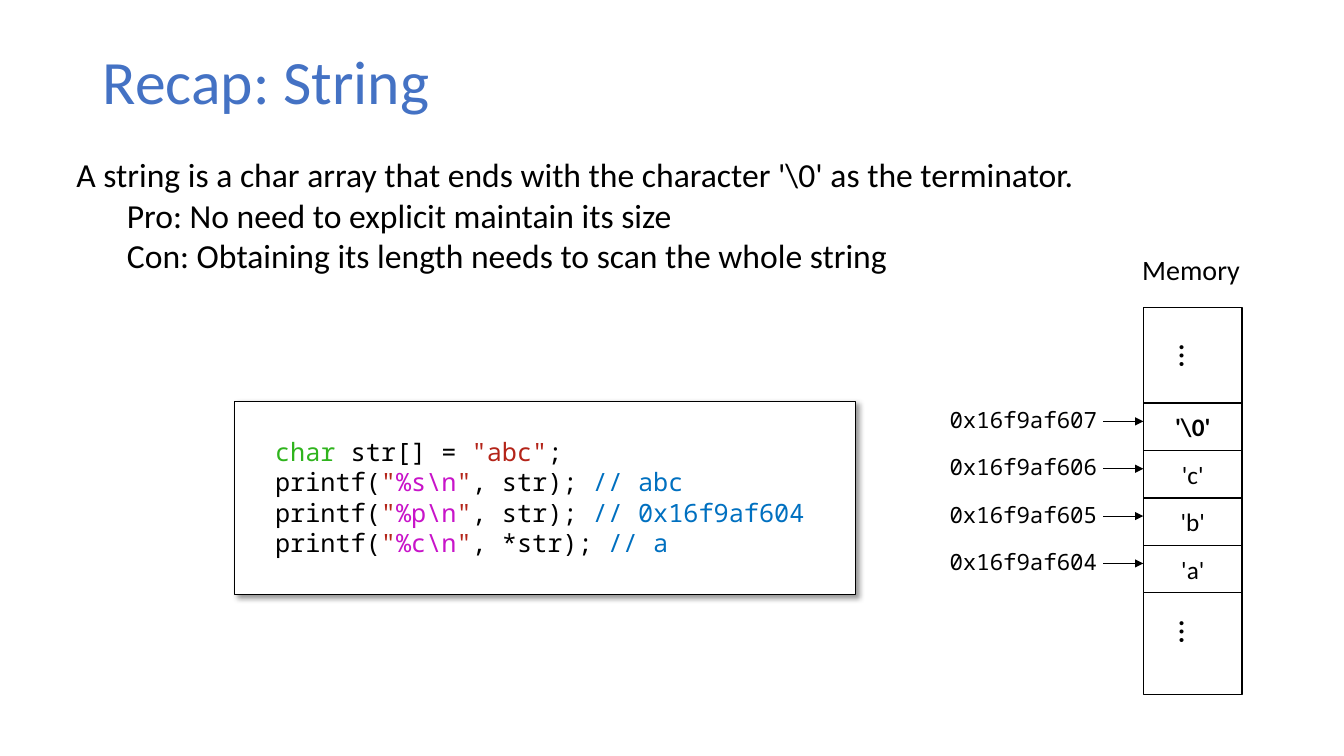
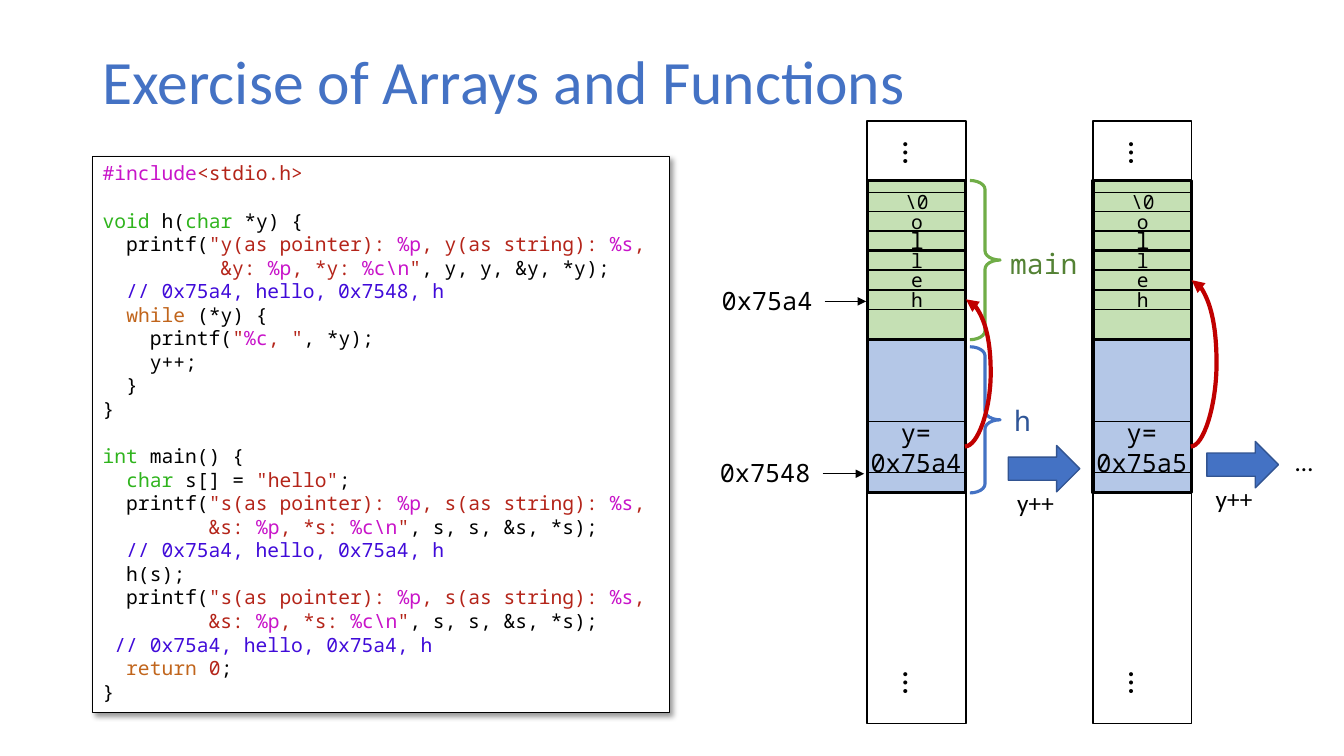
from lxml import etree
from pptx import Presentation
from pptx.dml.color import RGBColor
from pptx.enum.shapes import MSO_CONNECTOR, MSO_SHAPE
from pptx.enum.text import MSO_ANCHOR, PP_ALIGN
from pptx.oxml.ns import qn
from pptx.util import Pt

PX = 9144  # 100 px to the inch
RECT, BRACE, BLOCK_ARROW = MSO_SHAPE.RECTANGLE, MSO_SHAPE.RIGHT_BRACE, MSO_SHAPE.RIGHT_ARROW
STRAIGHT, CURVE = MSO_CONNECTOR.STRAIGHT, MSO_CONNECTOR.CURVE
TOP, MIDDLE = MSO_ANCHOR.TOP, MSO_ANCHOR.MIDDLE
LEFT, CENTER = PP_ALIGN.LEFT, PP_ALIGN.CENTER
rgb = RGBColor.from_string

# Shared colours and text formats
BLACK, WHITE, BLUE, RED = "000000", "FFFFFF", "4472C4", "C00000"
SANS, MONO = "Calibri", "Noto Sans Mono"
TITLE = dict(name=SANS, size=Pt(44))
BODY = dict(name=SANS, size=Pt(24))
HEADING = dict(name=SANS, size=Pt(20))
LABEL = dict(name=SANS, size=Pt(18))
NAME = dict(name=MONO, size=Pt(20))
VALUE = dict(name=MONO, size=Pt(18))
ADDRESS = dict(name=MONO, size=Pt(16))
CODE = dict(name=MONO, size=Pt(14))

# Code colours: "§" and a key start a run of that colour
SYNTAX = dict(n=BLACK, t="2FB41D", s="B42419", f="C814C9", c="0070C0", d="400BD9", k="C1651C")


def box(s, x, y, w, h, lines=(), font=LABEL, color=BLACK, shape=None, fill=None, line=None,
        weight=1, anchor=TOP, align=LEFT, inset=(10, 5), wrap=False, shadow=False):
    """Add a text box, or a preset shape with text."""
    at = [v * PX for v in (x, y, w, h)]
    if shape is None:
        sp = s.shapes.add_textbox(*at)
    else:
        sp = s.shapes.add_shape(shape, *at)
        sp.shadow.inherit = False
        if fill:
            sp.fill.solid()
            sp.fill.fore_color.rgb = rgb(fill)
        else:
            sp.fill.background()
        sp.line.color.rgb = rgb(line)
        sp.line.width = Pt(weight)
    if shadow:
        effects = sp._element.spPr.find(qn("a:effectLst"))
        outer = etree.SubElement(effects, qn("a:outerShdw"), blurRad="50800", dist="38100",
                                 dir="2700000", algn="tl", rotWithShape="0")
        tone = etree.SubElement(outer, qn("a:srgbClr"), val=BLACK)
        etree.SubElement(tone, qn("a:alpha"), val="40000")
    tf = sp.text_frame
    side, edge = inset
    frame = dict(word_wrap=wrap, vertical_anchor=anchor, margin_left=side * PX,
                 margin_right=side * PX, margin_top=edge * PX, margin_bottom=edge * PX)
    for key, value in frame.items():
        setattr(tf, key, value)
    for i, text in enumerate(lines):
        p = tf.add_paragraph() if i else tf.paragraphs[0]
        p.alignment = align
        first, *rest = text.split("§")
        runs = [(first, color)] if first else []
        runs += [(part[1:], SYNTAX[part[0]]) for part in rest]
        for words, tint in runs:
            r = p.add_run()
            r.text = words
            for key, value in font.items():
                setattr(r.font, key, value)
            r.font.color.rgb = rgb(tint)
    return sp


def arrow(s, x1, y1, x2, y2, color=BLACK, weight=0.5, kind=STRAIGHT):
    """Add a connector with a triangle at its end."""
    cx = s.shapes.add_connector(kind, x1 * PX, y1 * PX, x2 * PX, y2 * PX)
    cx.line.color.rgb = rgb(color)
    cx.line.width = Pt(weight)
    etree.SubElement(cx.line._get_or_add_ln(), qn("a:tailEnd"), type="triangle")
    etree.SubElement(cx._element.spPr, qn("a:effectLst"))
    return cx


prs = Presentation()
prs.slide_width, prs.slide_height = 1333 * PX, 750 * PX

# Slides and titles
slides = []
for title in ("Recap: String", "Exercise of Arrays and Functions"):
    s = prs.slides.add_slide(prs.slide_layouts[6])
    sp = box(s, 92, 40, 1150, 87, [title], TITLE, BLUE, anchor=MIDDLE, wrap=True)
    sp.text_frame.paragraphs[0].line_spacing = 0.9
    slides.append(s)
recap, exercise = slides

# Recap: statement with two indented remarks
sp = box(recap, 66, 148, 1018, 131, [
    r"A string is a char array that ends with the character '\0' as the terminator.",
    "Pro: No need to explicit maintain its size",
    "Con: Obtaining its length needs to scan the whole string"], BODY)
for p in sp.text_frame.paragraphs[1:]:
    p.level = 1
    p._p.get_or_add_pPr().set("marL", str(50 * PX))

# Recap: code
box(recap, 233, 398, 616, 192, [
    '  §tchar§n str[] = §s"abc"§n;',
    r'  printf(§s"§f%s\n§s"§n, str);§c // abc',
    r'  printf(§s"§f%p\n§s"§n, str);§c // 0x16f9af604',
    r'  printf(§s"§f%c\n§s"§n, *str);§c // a'],
    VALUE, shape=RECT, fill=WHITE, line=BLACK, weight=0.75, inset=(10, 35), wrap=True, shadow=True)

# Recap: memory column
box(recap, 1123, 246, 118, 44, ["Memory"], HEADING)
box(recap, 1134, 305, 98, 384, shape=RECT, fill=WHITE, line=BLACK)
for y in (328, 602):
    box(recap, 1144, y, 79, 50, ["…"], BODY, anchor=MIDDLE, align=CENTER).rotation = 90
for i, char in enumerate((r"'\0'", "'c'", "'b'", "'a'")):
    y = 400 + 47 * i
    box(recap, 1134, y, 98, 47, [char], dict(LABEL, bold=i == 0), shape=RECT, fill=WHITE,
        line=BLACK, anchor=MIDDLE, align=CENTER)
    box(recap, 932, y - 2, 169, 37, [f"0x16f9af60{7 - i}"], ADDRESS)
    arrow(recap, 1094, y + 18, 1134, y + 18)

# Exercise: code
s_call = [
    '  printf(§s"s(as pointer): §f%p§s, s(as string): §f%s§s,',
    r'§s         &s: §f%p§s, *s: §f%c\n§s"§n, s, s, &s, *s);']
sp = box(exercise, 92, 155, 572, 552, [
    "§f#include§s<stdio.h>",
    "§tvoid§n h(§tchar§n *y) {",
    '  printf(§s"y(as pointer): §f%p§s, y(as string): §f%s§s,',
    r'§s          &y: §f%p§s, *y: §f%c\n§s"§n, y, y, &y, *y);',
    "§d  // 0x75a4, hello, 0x7548, h",
    "  §kwhile§n (*y) {",
    '    printf(§s"§f%c§s, "§n, *y);',
    "    y++;",
    "  }",
    "}",
    "§tint§n main() {",
    '  §tchar§n s[] = §s"hello"§n;',
    *s_call,
    "§d  // 0x75a4, hello, 0x75a4, h",
    "  h(s);",
    *s_call,
    "§d // 0x75a4, hello, 0x75a4, h",
    "§k  return §s0§n;",
    "}"], CODE, shape=RECT, fill=WHITE, line=BLACK, weight=0.75, wrap=True, shadow=True)
for p in sp.text_frame.paragraphs:
    if p.text.startswith(("void", "int")):
        p.space_before = Pt(17)

# Exercise: braces that name the two stack frames
for y, h, color in ((179, 158, "70AD47"), (344, 145, BLUE)):
    brace = box(exercise, 962, y, 30, h, shape=BRACE, line=color, weight=2.25)
    brace.adjustments[0] = 0.3
box(exercise, 992, 240, 88, 44, ["main"], NAME, "548235")
box(exercise, 996, 395, 37, 44, ["h"], NAME, "2F5597")

# Exercise: the memory before and after one step of y
for x, target, target_y in ((860, "0x75a4", 297), (1084, "0x75a5", 278)):
    box(exercise, x, 120, 98, 598, shape=RECT, fill=WHITE, line=BLACK)
    for y in (653, 127):
        box(exercise, x + 10, y, 79, 50, ["…"], BODY, anchor=MIDDLE, align=CENTER).rotation = 90
    for y, h, fill in ((179, 158, "C5E0B4"), (337, 152, "B4C7E7")):
        box(exercise, x, y, 98, h, shape=RECT, fill=fill, line=BLACK, weight=2.25)
    for i, char in enumerate((r"\0", "o", "l", "l", "e", "h")):
        box(exercise, x + 1, 191 + 97 * i // 5, 97, 19, [char], ADDRESS if i == 2 else CODE,
            shape=RECT, line=BLACK, anchor=MIDDLE, align=CENTER)
    box(exercise, x, 418, 97, 51, ["y=", target], VALUE, shape=RECT, line=BLACK,
        anchor=MIDDLE, align=CENTER, inset=(0, 5), wrap=True)
    cx = arrow(exercise, x + 97, 443, x + 98, target_y, RED, 3, CURVE)
    bends = cx._element.spPr.find(qn("a:prstGeom")).get_or_add_avLst()
    etree.SubElement(bends, qn("a:gd"), name="adj1", fmla="val 2600000")

# Exercise: addresses
for x, y, address in ((706, 278, "0x75a4"), (704, 449, "0x7548")):
    box(exercise, x, y, 112, 40, [address], VALUE)
    arrow(exercise, x + 112, y + 21, x + 153, y + 21)

# Exercise: steps
for x, y in ((1000, 442), (1197, 438)):
    box(exercise, x, y, 71, 46, shape=BLOCK_ARROW, fill=BLUE, line="325491")
    box(exercise, x - 1, y + 37, 57, 40, ["y++"])
box(exercise, 1275, 438, 38, 40, ["…"])

prs.save("out.pptx")
